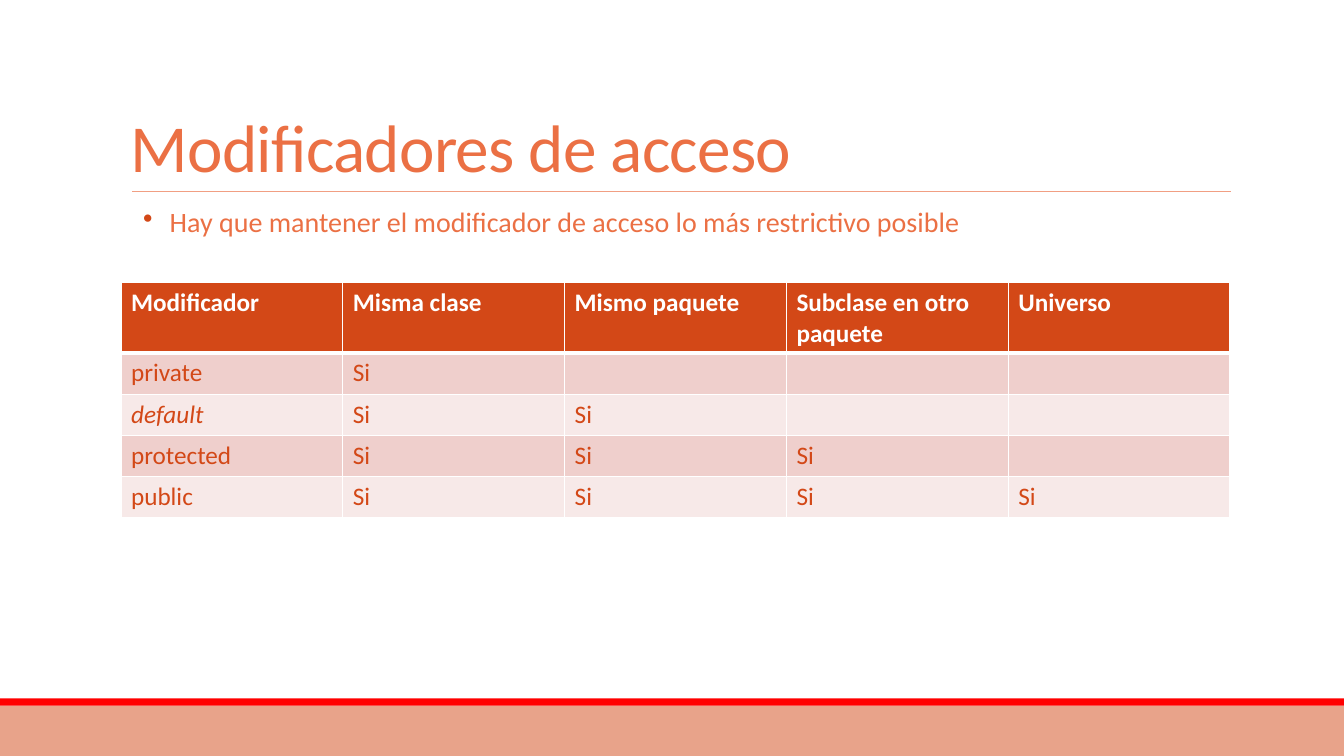
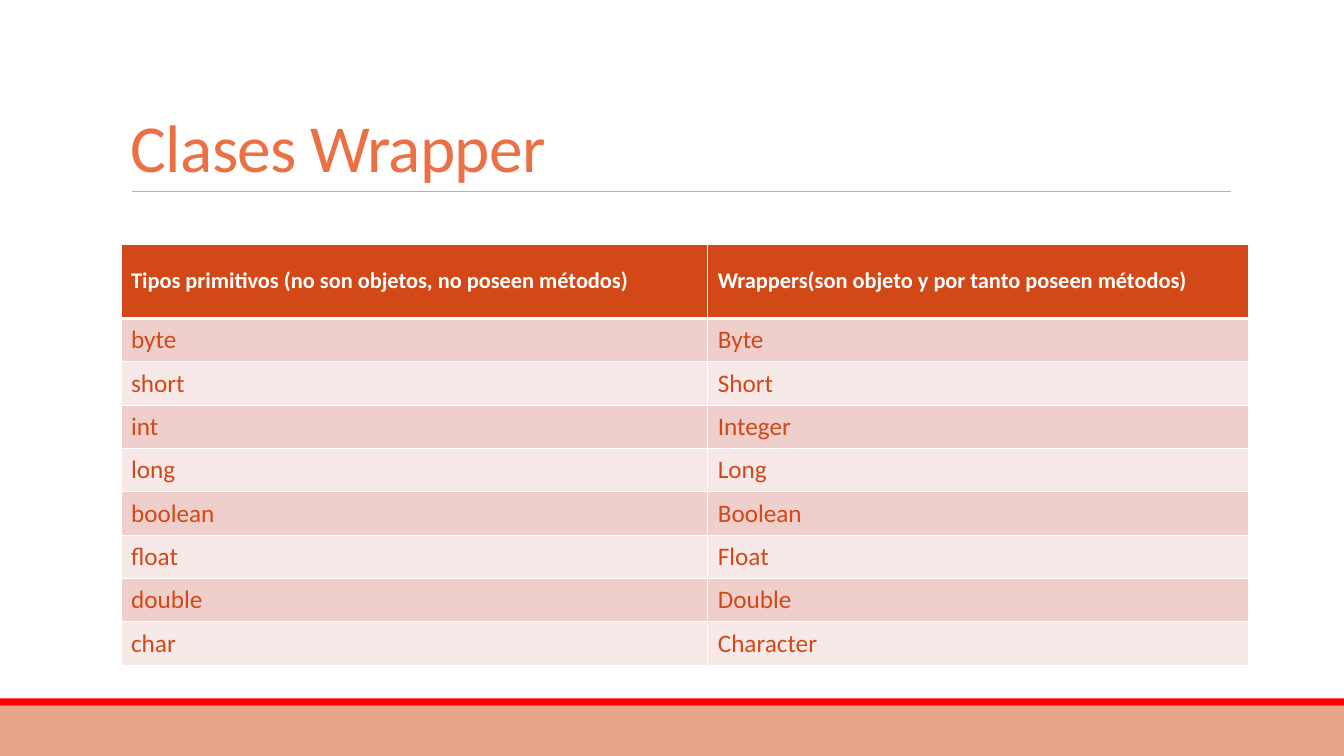
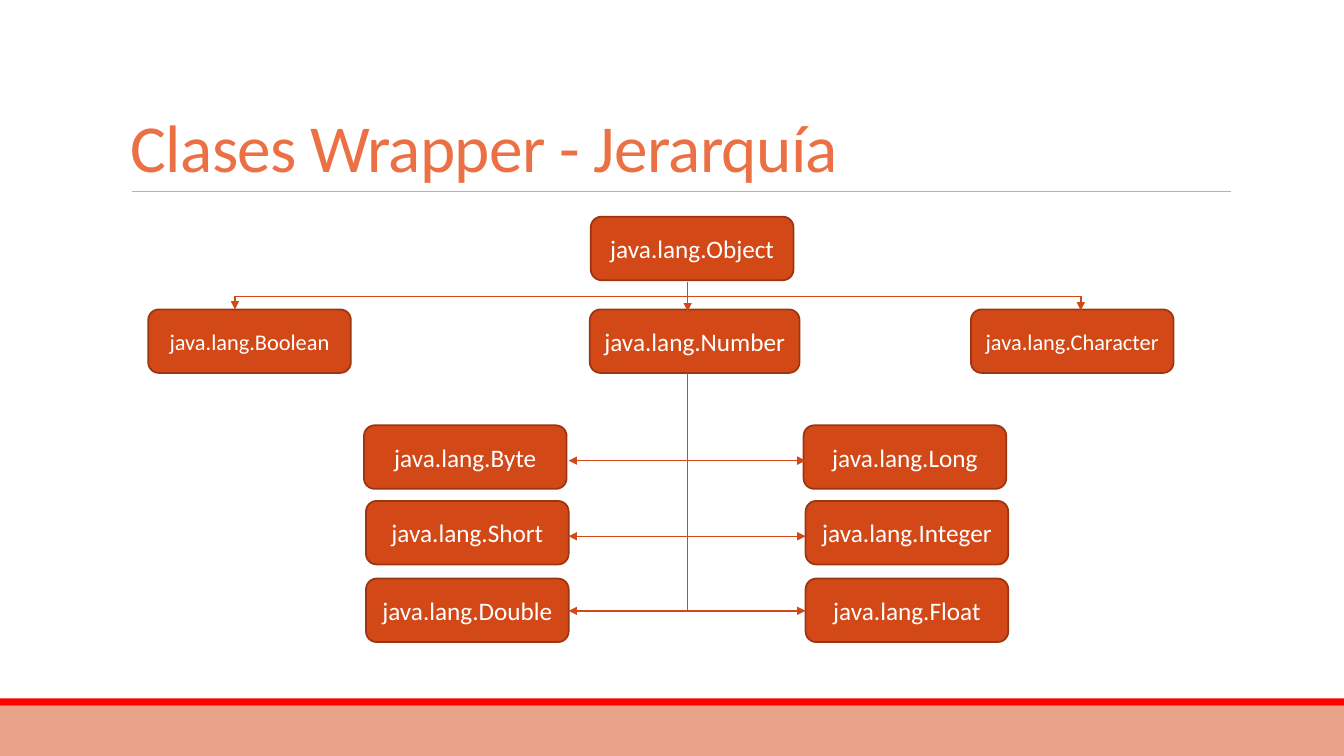
"""Build three slides on Java access modifiers and wrapper classes."""
from pptx import Presentation
from pptx.dml.color import RGBColor
from pptx.enum.shapes import MSO_CONNECTOR, MSO_SHAPE
from pptx.enum.text import MSO_ANCHOR, PP_ALIGN
from pptx.oxml.ns import qn
from pptx.util import Pt
from lxml.etree import SubElement, Element

PX = 9144
WIDTH, HEIGHT = 1333, 750
FONT = "Calibri"
COLORS = {
    "main": "D34817", "edge": "9C3511", "title": "EB7044", "rule": "F19F83",
    "red": "FF0000", "white": "FFFFFF", "dark_row": "EFCFCC", "light_row": "F7E9E8",
}

TITLES = ["Modificadores de acceso", "Clases Wrapper", "Clases Wrapper - Jerarquía"]
ADVICE = " Hay que mantener el modificador de acceso lo más restrictivo posible"

ACCESS_HEAD = ["Modificador", "Misma clase", "Mismo paquete", "Subclase en otro paquete", "Universo"]
ACCESS_LEVELS = [("private", 1), ("default", 2), ("protected", 3), ("public", 4)]

WRAPPERS = [
    ("Tipos primitivos\u00a0(no son objetos, no poseen métodos)",
     "Wrappers(son objeto y por tanto poseen métodos)"),
    ("byte", "Byte"), ("short", "Short"), ("int", "Integer"), ("long", "Long"),
    ("boolean", "Boolean"), ("float", "Float"), ("double", "Double"), ("char", "Character"),
]

BOX_W, BOX_H = 201, 63
CLASSES = [
    ("Object", 586, 215, BOX_W, 18),
    ("Boolean", 147, 307, BOX_W, 16),
    ("Number", 585, 307, 208, 18),
    ("Character", 963, 307, BOX_W, 16),
]
NUMBER_PAIRS = [
    ("Byte", "Long", 361, 422, 457),
    ("Short", "Integer", 363, 497, 532),
    ("Double", "Float", 363, 574, 606),
]
PAIR_GAP = 436
TRUNK_X, BRANCH_Y, LEFT_X, RIGHT_X = 682, 294, 233, 1072


def rgb(name):
    return RGBColor.from_string(COLORS[name])


def box(*lengths):
    return [v * PX for v in lengths]


def add_run(p, text, size, color, bold=False, italic=False):
    r = p.add_run()
    r.text = text
    f = r.font
    f.name, f.size, f.bold, f.italic = FONT, Pt(size), bold, italic
    f.color.rgb = rgb(color)
    return r


def add_block(s, kind, x, y, w, h, fill, edge=None):
    sp = s.shapes.add_shape(kind, *box(x, y, w, h))
    sp.shadow.inherit = False
    sp.fill.solid()
    sp.fill.fore_color.rgb = rgb(fill)
    if edge:
        sp.line.color.rgb = rgb(edge)
        sp.line.width = Pt(1.25)
    else:
        sp.line.fill.background()
    return sp


def add_line(s, x1, y1, x2, y2, color="main", width=1, ends=()):
    cn = s.shapes.add_connector(MSO_CONNECTOR.STRAIGHT, *box(x1, y1, x2, y2))
    cn.line.color.rgb = rgb(color)
    cn.line.width = Pt(width)
    ln = cn.line._get_or_add_ln()
    for end in ends:
        SubElement(ln, qn(f"a:{end}"), type="triangle")
    SubElement(cn._element.spPr, qn("a:effectLst"))


def add_textbox(s, x, y, w, h):
    tf = s.shapes.add_textbox(*box(x, y, w, h)).text_frame
    tf.word_wrap = True
    return tf


def add_slide(prs, title):
    s = prs.slides.add_slide(prs.slide_layouts[6])
    band = add_block(s, MSO_SHAPE.RECTANGLE, 0, 700, WIDTH, 50, "main")
    color = band._element.spPr.find(qn("a:solidFill"))[0]
    SubElement(color, qn("a:alpha"), val="50000")
    add_block(s, MSO_SHAPE.RECTANGLE, 0, 693, WIDTH, 7, "red")
    add_line(s, 131, 190, 1221, 190, "rule", 0.5)
    tf = add_textbox(s, 120, 31, 1100, 159)
    tf.vertical_anchor = MSO_ANCHOR.BOTTOM
    p = tf.paragraphs[0]
    p.line_spacing = 0.85
    r = add_run(p, title, 48, "title")
    r.font._element.set("spc", "-50")
    return s


def add_advice(s):
    tf = add_textbox(s, 120, 202, 1100, 440)
    tf.margin_left = tf.margin_right = 0
    p = tf.paragraphs[0]
    p.line_spacing, p.space_before, p.space_after = 0.9, Pt(2), Pt(4)
    pPr = p._p.get_or_add_pPr()
    pPr.set("marL", str(42 * PX))
    pPr.set("indent", str(-20 * PX))
    SubElement(SubElement(pPr, qn("a:buClr")), qn("a:srgbClr"), val=COLORS["main"])
    SubElement(pPr, qn("a:buChar"), char="•")
    add_run(p, ADVICE, 20, "title")


def set_borders(cell, widths):
    tcPr = cell._tc.get_or_add_tcPr()
    for i, (side, width) in enumerate(widths.items()):
        ln = Element(qn(f"a:ln{side}"), w=str(Pt(width)))
        SubElement(SubElement(ln, qn("a:solidFill")), qn("a:srgbClr"), val=COLORS["white"])
        tcPr.insert(i, ln)


def add_grid(s, x, y, cols, heights, rows, head_size, anchor):
    frame = s.shapes.add_table(len(rows), len(cols), *box(x, y, sum(cols), sum(heights)))
    table = frame.table
    for column, w in zip(table.columns, cols):
        column.width = w * PX
    for i, (row, h, texts) in enumerate(zip(table.rows, heights, rows)):
        row.height = h * PX
        head = i == 0
        fill = "main" if head else ("light_row", "dark_row")[i % 2]
        for cell, text in zip(row.cells, texts):
            cell.vertical_anchor = anchor
            cell.fill.solid()
            cell.fill.fore_color.rgb = rgb(fill)
            set_borders(cell, {"L": 1, "R": 1, "T": 3 if i == 1 else 1, "B": 3 if head else 1})
            if text:
                add_run(cell.text_frame.paragraphs[0], text, head_size if head else 18,
                        "white" if head else "main", head, text == "default")


def add_class(s, name, x, y, w=BOX_W, size=18):
    sp = add_block(s, MSO_SHAPE.ROUNDED_RECTANGLE, x, y, w, BOX_H, "main", "edge")
    tf = sp.text_frame
    tf.word_wrap = True
    tf.vertical_anchor = MSO_ANCHOR.MIDDLE
    p = tf.paragraphs[0]
    p.alignment = PP_ALIGN.CENTER
    add_run(p, f"java.lang.{name}", size, "white")


def add_hierarchy(s):
    for item in CLASSES:
        add_class(s, *item)
    for left, right, x, y, arrow_y in NUMBER_PAIRS:
        add_class(s, left, x, y)
        add_class(s, right, x + PAIR_GAP, y)
        add_line(s, 564, arrow_y, 799, arrow_y, ends=("headEnd", "tailEnd"))
    add_line(s, LEFT_X, BRANCH_Y, RIGHT_X, BRANCH_Y)
    add_line(s, TRUNK_X, 370, TRUNK_X, 606)
    for x, top, bottom in [(LEFT_X, BRANCH_Y, 307), (RIGHT_X, BRANCH_Y, 308), (TRUNK_X, 280, 309)]:
        add_line(s, x, top, x, bottom, ends=("tailEnd",))


def main():
    prs = Presentation()
    prs.slide_width, prs.slide_height = box(WIDTH, HEIGHT)
    access, wrappers, hierarchy = [add_slide(prs, title) for title in TITLES]
    add_advice(access)
    levels = [[name] + ["Si"] * n + [""] * (4 - n) for name, n in ACCESS_LEVELS]
    add_grid(access, 120, 280, [220] * 5, [41] * 5, [ACCESS_HEAD] + levels, 18, MSO_ANCHOR.TOP)
    add_grid(wrappers, 120, 242, [582, 536], [74] + [43] * 8, WRAPPERS, 16, MSO_ANCHOR.MIDDLE)
    add_hierarchy(hierarchy)
    prs.save("out.pptx")


if __name__ == "__main__":
    main()
